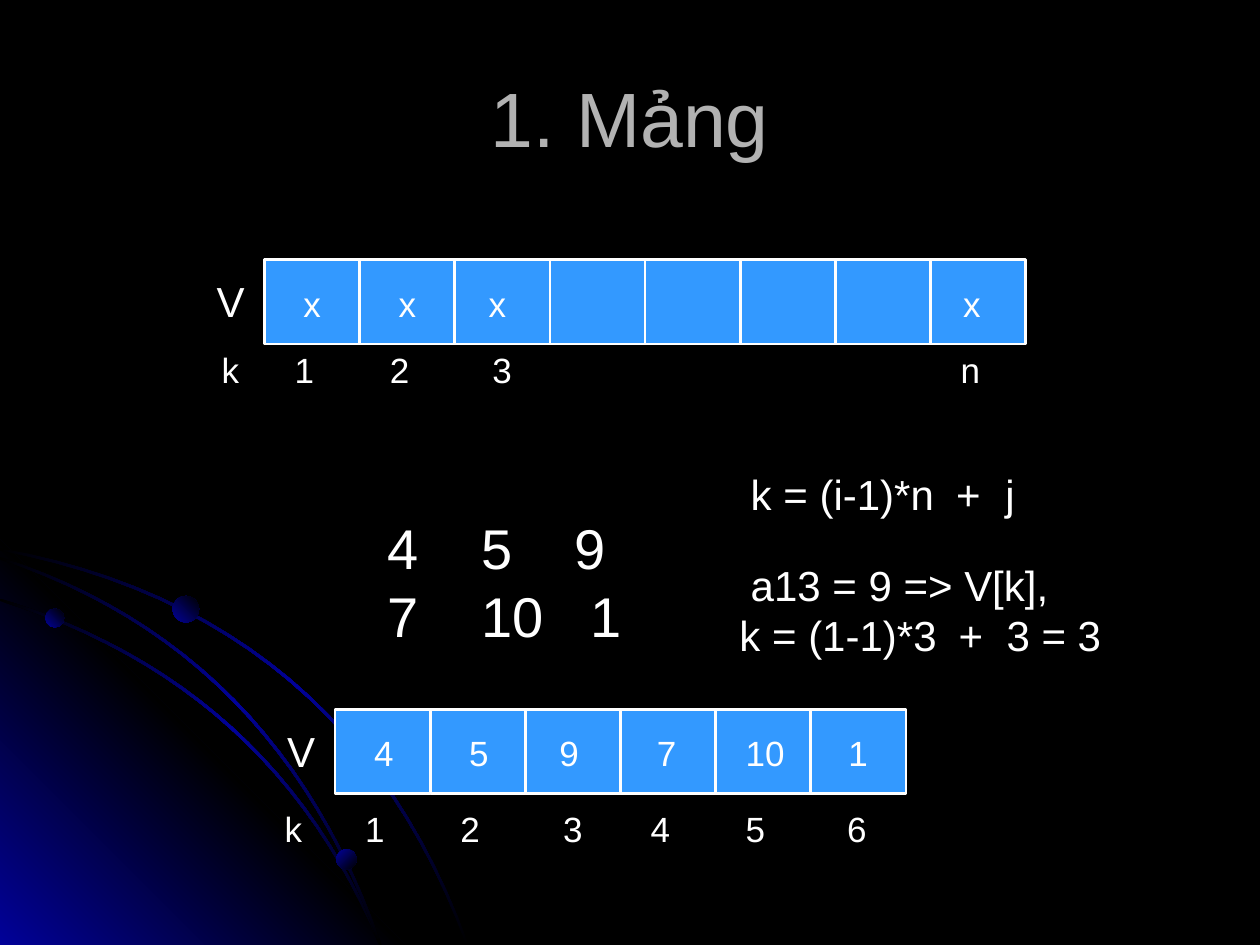
from dataclasses import dataclass

from lxml import etree
from pptx import Presentation
from pptx import util as u
from pptx.dml.color import RGBColor
from pptx.enum import shapes, text
from pptx.oxml import ns


@dataclass(frozen=True)
class Theme:
    font: str = "Arial"
    background: str = "000000"
    glow: str = "010199"
    heading: str = "B2B2B2"
    ink: str = "FFFFFF"
    cell: str = "3399FF"
    title_size: int = 44
    matrix_size: int = 32
    formula_size: int = 24
    value_size: int = 20
    border: float = 1.5


@dataclass(frozen=True)
class Item:
    """One filled cell; the insets run from the cell's left edge, in inches."""
    column: int
    value: str
    index: str
    value_inset: float = 0.21
    index_inset: float = 0.14


THEME = Theme()
SLIDE_W, SLIDE_H = 10, 7.5
CELL_W, CELL_H = 0.755, 0.67
LABEL_W, LABEL_H, DIGIT_W = 0.48, 0.44, 0.08
VALUE_DROP = 0.13

# Each orbit is a quadratic curve: start, control point, end
ORBITS = [((0, 4.36), (2.75, 4.87), (3.71, SLIDE_H)),
          ((0, 4.76), (2.17, 5.43), (3.02, SLIDE_H)),
          ((0, 4.43), (2.2, 5.15), (3.02, SLIDE_H))]
ORBIT_HALF_WIDTH = 0.01
ORBIT_STEPS = 24
CORNER_SIZE = 3.22
# Left, top, diameter, gradient angle
BEADS = [(0.36, 4.83, 0.15, 315), (2.67, 6.74, 0.16, 45), (1.37, 4.73, 0.21, 315)]

GENERAL_ITEMS = [Item(0, "x", "1"), Item(1, "x", "2"),
                 Item(2, "x", "3", 0.17, 0.2), Item(7, "x", "n", 0.16)]
EXAMPLE_ITEMS = [Item(0, "4", "1"), Item(1, "5", "2"),
                 Item(2, "9", "3", 0.17, 0.2), Item(3, "7", "4", 0.19),
                 Item(4, "10", "5", 0.14), Item(5, "1", "6", 0.2, 0.19)]


def colour(value):
    return RGBColor.from_string(value)


def fill_gradient(shape, colours, angle):
    """Spread the colours evenly along the angle, and drop line and shadow."""
    shape.shadow.inherit = False
    shape.line.fill.background()
    shape.fill.gradient()
    gradient = shape.fill._xPr.find(ns.qn("a:gradFill"))
    stops = gradient.find(ns.qn("a:gsLst"))
    for stop in list(stops):
        stops.remove(stop)
    for i, value in enumerate(colours):
        position = str(100000 * i // (len(colours) - 1))
        stop = etree.SubElement(stops, ns.qn("a:gs"), pos=position)
        etree.SubElement(stop, ns.qn("a:srgbClr"), val=value)
    gradient.find(ns.qn("a:lin")).set("ang", str(angle * 60000))


def add_outline(slide, points, colours, angle):
    """Close a polygon through points given in inches."""
    corners = [(u.Inches(x), u.Inches(y)) for x, y in points]
    builder = slide.shapes.build_freeform(*corners[0])
    builder.add_line_segments(corners[1:], close=True)
    fill_gradient(builder.convert_to_shape(), colours, angle)


def curve_points(start, control, end):
    """Sample a quadratic curve at equal steps."""
    points = []
    for step in range(ORBIT_STEPS + 1):
        t = step / ORBIT_STEPS
        weights = ((1 - t) ** 2, 2 * t * (1 - t), t ** 2)
        points.append(tuple(
            sum(weight * value for weight, value in zip(weights, axis))
            for axis in zip(start, control, end)))
    return points


def orbit_edge(start, control, end, shift):
    """Move the curve sideways: up at its start and right at its end."""
    return curve_points((start[0], start[1] - shift),
                        (control[0] + shift, control[1] - shift),
                        (end[0] + shift, end[1]))


def add_orbit(slide, curve):
    upper = orbit_edge(*curve, ORBIT_HALF_WIDTH)
    lower = orbit_edge(*curve, -ORBIT_HALF_WIDTH)
    add_outline(slide, upper + lower[::-1],
                [THEME.background, THEME.glow, THEME.background], 45)


def add_decoration(slide):
    corner = [(CORNER_SIZE, SLIDE_H), (0, SLIDE_H), (0, SLIDE_H - CORNER_SIZE)]
    add_outline(slide, corner, [THEME.glow, THEME.background, THEME.glow], 315)
    for curve in ORBITS:
        add_orbit(slide, curve)
    for left, top, size, angle in BEADS:
        bead = slide.shapes.add_shape(
            shapes.MSO_SHAPE.OVAL, *map(u.Inches, (left, top, size, size)))
        fill_gradient(bead, [THEME.glow, THEME.background], angle)


def write(frame, lines, *, size, ink=THEME.ink, align=None, tabs=None):
    """Fill a frame; tabs maps a line number to its stops in inches."""
    frame.word_wrap = True
    frame.text = "\n".join(lines)
    for i, paragraph in enumerate(frame.paragraphs):
        if tabs and i in tabs:
            properties = paragraph._p.get_or_add_pPr()
            stops = etree.SubElement(properties, ns.qn("a:tabLst"))
            for stop in tabs[i]:
                etree.SubElement(stops, ns.qn("a:tab"),
                                 pos=str(u.Inches(stop)), algn="l")
        if align is not None:
            paragraph.alignment = align
        for run in paragraph.runs:
            run.font.name = THEME.font
            run.font.size = u.Pt(size)
            run.font.color.rgb = colour(ink)


def add_text(slide, left, top, width, height, lines, **style):
    box = slide.shapes.add_textbox(*map(u.Inches, (left, top, width, height)))
    write(box.text_frame, lines, **style)


def add_label(slide, left, top, label):
    """Place a value or an index, widened for each further digit."""
    width = LABEL_W + DIGIT_W * (len(label) - 1)
    add_text(slide, left, top, width, LABEL_H, [label], size=THEME.value_size)


def add_cell(slide, left, top):
    cell = slide.shapes.add_shape(
        shapes.MSO_SHAPE.RECTANGLE, *map(u.Inches, (left, top, CELL_W, CELL_H)))
    cell.shadow.inherit = False
    cell.fill.solid()
    cell.fill.fore_color.rgb = colour(THEME.cell)
    cell.line.color.rgb = colour(THEME.ink)
    cell.line.width = u.Pt(THEME.border)


def add_array(slide, left, top, columns, items, *, index_drop, k_shift):
    """Draw a row of cells with its values, its indices and the labels V and k."""
    for column in range(columns):
        add_cell(slide, left + column * CELL_W, top)
    add_text(slide, left - LABEL_W, top + 0.08, LABEL_W, 0.5, ["V"],
             size=THEME.formula_size)
    add_label(slide, left - k_shift, top + index_drop, "k")
    for item in items:
        start = left + item.column * CELL_W
        add_label(slide, start + item.value_inset, top + VALUE_DROP, item.value)
        add_label(slide, start + item.index_inset, top + index_drop, item.index)


def add_title(slide, heading):
    title = slide.shapes.title
    title.left, title.top, title.width, title.height = map(
        u.Inches, (0.5, 0.3, 9, 1.25))
    title.text_frame.vertical_anchor = text.MSO_ANCHOR.MIDDLE
    write(title.text_frame, [heading], size=THEME.title_size,
          ink=THEME.heading, align=text.PP_ALIGN.CENTER)


def main():
    deck = Presentation()
    deck.slide_width, deck.slide_height = u.Inches(SLIDE_W), u.Inches(SLIDE_H)
    slide = deck.slides.add_slide(deck.slide_layouts[5])
    slide.background.fill.solid()
    slide.background.fill.fore_color.rgb = colour(THEME.background)

    add_decoration(slide)
    add_title(slide, "1. Mảng")

    # General array, then the matrix stored row by row
    add_array(slide, 2.1, 2.06, 8, GENERAL_ITEMS, index_drop=0.66, k_shift=0.44)
    add_array(slide, 2.66, 5.63, 6, EXAMPLE_ITEMS, index_drop=0.73, k_shift=0.5)

    # Matrix
    add_text(slide, 2.98, 4.03, 2.41, 1.17, ["4\t5\t9", "7\t10\t1"],
             size=THEME.matrix_size, tabs={0: (0.74, 1.48), 1: (0.74, 1.61)})

    # Index formula and its use on the matrix
    add_text(slide, 5.86, 3.67, 2.39, 0.5, ["k = (i-1)*n\t+\tj"],
             size=THEME.formula_size, tabs={0: (1.63, 2.02)})
    add_text(slide, 5.86, 4.39, 3.12, 0.5, ["a13 = 9 => V[k],"],
             size=THEME.formula_size)
    add_text(slide, 5.77, 4.79, 3.21, 0.5, ["k = (1-1)*3\t+\t3 = 3"],
             size=THEME.formula_size, tabs={0: (1.74, 2.12)})

    deck.save("out.pptx")


if __name__ == "__main__":
    main()
